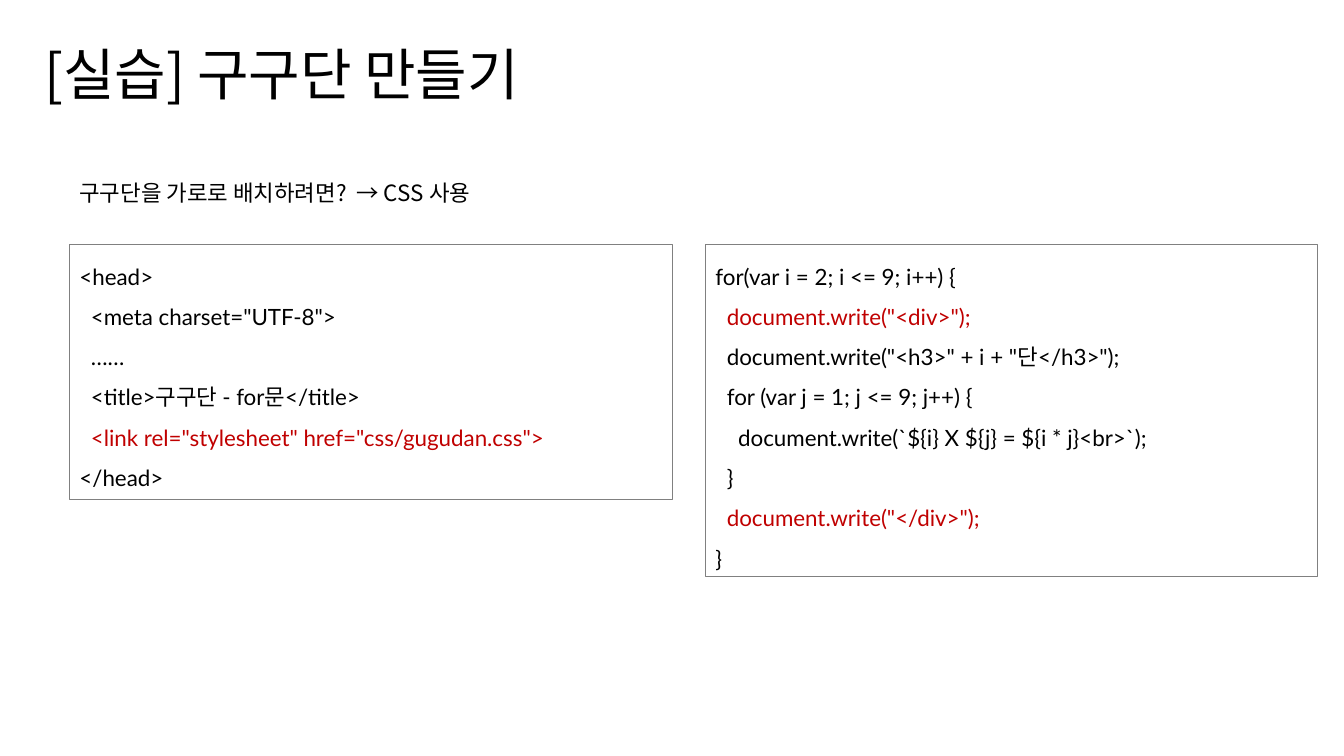
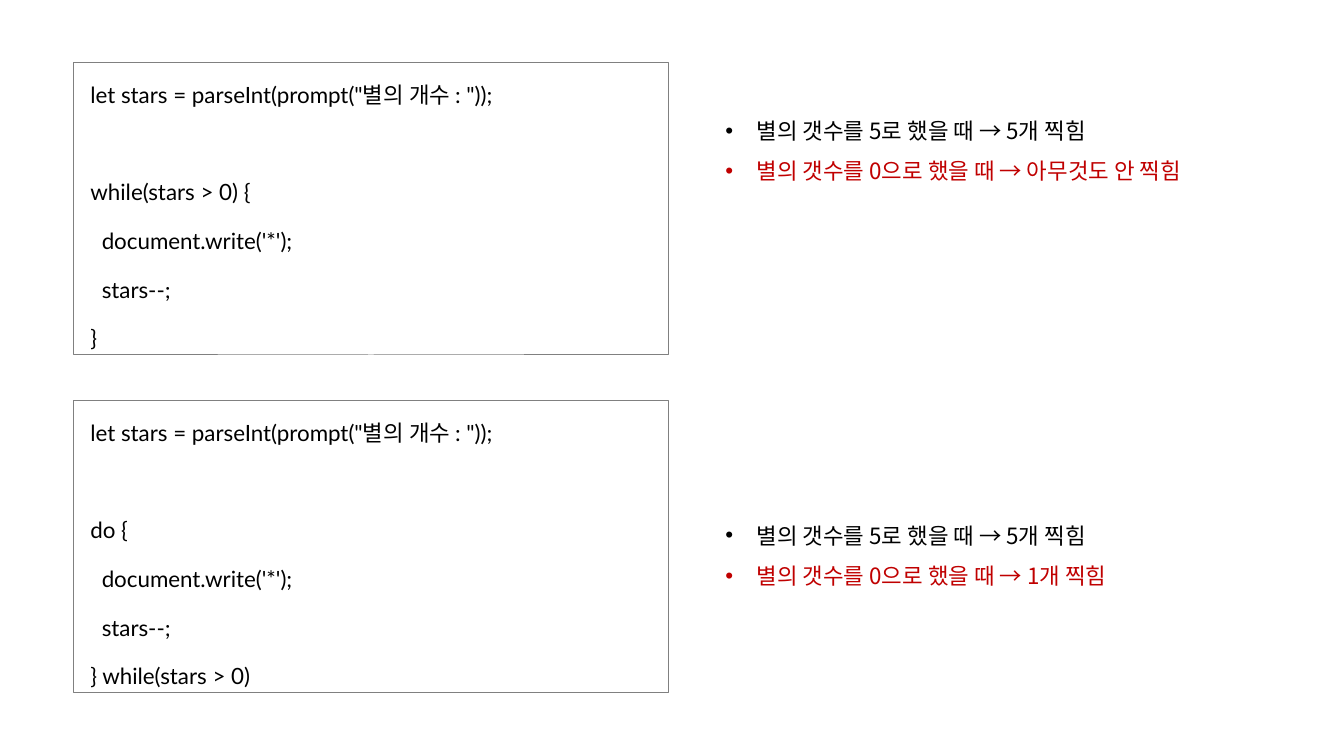
from dataclasses import dataclass

from lxml import etree
from pptx import Presentation
from pptx import util as u
from pptx.dml import color as c
from pptx.enum import shapes, text
from pptx.oxml import ns


@dataclass(frozen=True)
class Theme:
    ink: str = "000000"
    accent: str = "C00000"
    border: str = "808080"
    code_font: str = "Lato"
    text_font: str = "Noto Sans CJK KR"
    title_size: float = 40
    body_size: float = 16
    border_width: float = 0.75
    line_spacing: float = 1.5
    code_step: float = 8.1
    bullet_indent: float = 22.5


@dataclass(frozen=True)
class Box:
    left: float
    top: float
    width: float
    height: float


@dataclass(frozen=True)
class Line:
    words: str
    level: int = 0
    accent: bool = False
    gap: float = 0


T = Theme()
LOOSE_SPACE = 3
LOOSE_INDENT = 5
BLANK_LINE = 35

HEAD_CODE = [
    Line("<head>"),
    Line('<meta charset="UTF-8">', 1),
    Line("……", 1),
    Line("<title>구구단 - for문</title>", 1),
    Line('<link rel="stylesheet" href="css/gugudan.css">', 1, True),
    Line("</head>"),
]
TABLE_CODE = [
    Line("for(var i = 2; i <= 9; i++) {"),
    Line('document.write("<div>");', 1, True),
    Line('document.write("<h3>" + i + "단</h3>");', 1),
    Line("for (var j = 1; j <= 9; j++) {", 1),
    Line("document.write(`${i} X ${j} = ${i * j}<br>`);", 2),
    Line("}", 1),
    Line('document.write("</div>");', 1, True),
    Line("}"),
]


def stars_code(opening: str, closing: str) -> list[Line]:
    return [
        Line('let stars = parseInt(prompt("별의 개수 : "));'),
        Line(opening, gap=BLANK_LINE),
        Line("document.write('*');", 1),
        Line("stars--;", 1),
        Line(closing),
    ]


def add_run(p, words: str, font: str, size: float, color: str) -> None:
    r = p.add_run()
    r.text = words
    r.font.size = u.Pt(size)
    r.font.color.rgb = c.RGBColor.from_string(color)
    r.font.name = font
    ea = etree.SubElement(r.font._element, ns.qn("a:ea"))
    ea.set("typeface", T.text_font)


def set_indent(p, left: float, first: float = 0) -> None:
    pPr = p._p.get_or_add_pPr()
    pPr.set("marL", str(u.Pt(left)))
    pPr.set("indent", str(u.Pt(first)))


def add_bullet(p) -> None:
    set_indent(p, T.bullet_indent, -T.bullet_indent)
    pPr = p._p.get_or_add_pPr()
    etree.SubElement(pPr, ns.qn("a:buFont")).set("typeface", "Arial")
    etree.SubElement(pPr, ns.qn("a:buChar")).set("char", "•")


def place(box: Box) -> tuple:
    return u.Pt(box.left), u.Pt(box.top), u.Pt(box.width), u.Pt(box.height)


def paragraphs(tf, lines: list[Line]):
    tf.word_wrap = True
    tf.vertical_anchor = text.MSO_ANCHOR.TOP
    for i, line in enumerate(lines):
        p = tf.add_paragraph() if i else tf.paragraphs[0]
        p.alignment = text.PP_ALIGN.LEFT
        yield p, line, T.accent if line.accent else T.ink


def add_text(s, box: Box, words: str, size: float) -> None:
    tf = s.shapes.add_textbox(*place(box)).text_frame
    for p, line, color in paragraphs(tf, [Line(words)]):
        add_run(p, line.words, T.text_font, size, color)


def add_bullets(s, box: Box, lines: list[Line]) -> None:
    tf = s.shapes.add_textbox(*place(box)).text_frame
    for p, line, color in paragraphs(tf, lines):
        p.line_spacing = T.line_spacing
        add_bullet(p)
        add_run(p, line.words, T.text_font, T.body_size, color)


def add_code(s, box: Box, lines: list[Line],
             indent: float = 0, space: float = 0) -> None:
    sp = s.shapes.add_shape(shapes.MSO_SHAPE.RECTANGLE, *place(box))
    sp.shadow.inherit = False
    sp.fill.background()
    sp.line.color.rgb = c.RGBColor.from_string(T.border)
    sp.line.width = u.Pt(T.border_width)
    for p, line, color in paragraphs(sp.text_frame, lines):
        p.line_spacing = T.line_spacing
        p.space_before = u.Pt(space + line.gap)
        p.space_after = u.Pt(space)
        set_indent(p, indent + line.level * T.code_step)
        add_run(p, line.words, T.code_font, T.body_size, color)


def build_gugudan(s) -> None:
    add_text(s, Box(24.5, 25, 432, 55.5), "[실습] 구구단 만들기", T.title_size)
    add_text(s, Box(49.7, 124.5, 551, 26.6),
             "구구단을 가로로 배치하려면?  → CSS 사용", T.body_size)
    add_code(s, Box(49.7, 174.5, 430.5, 182), HEAD_CODE)
    add_code(s, Box(504, 174.5, 437, 237), TABLE_CODE)


def build_stars(s) -> None:
    examples = [
        (44.6, 70.5, "while(stars > 0) {", "}", "아무것도 안 찍힘"),
        (286, 359.5, "do {", "} while(stars > 0)", "1개 찍힘"),
    ]
    for code_top, notes_top, opening, closing, result in examples:
        add_code(s, Box(52.5, code_top, 425, 209),
                 stars_code(opening, closing), LOOSE_INDENT, LOOSE_SPACE)
        add_bullets(s, Box(511, notes_top, 425, 62), [
            Line("별의 갯수를 5로 했을 때 → 5개 찍힘"),
            Line(f"별의 갯수를 0으로 했을 때 → {result}", accent=True),
        ])


def main() -> None:
    prs = Presentation()
    prs.slide_width, prs.slide_height = u.Pt(960), u.Pt(540)
    for build in (build_gugudan, build_stars):
        build(prs.slides.add_slide(prs.slide_layouts[6]))
    prs.save("out.pptx")


if __name__ == "__main__":
    main()
